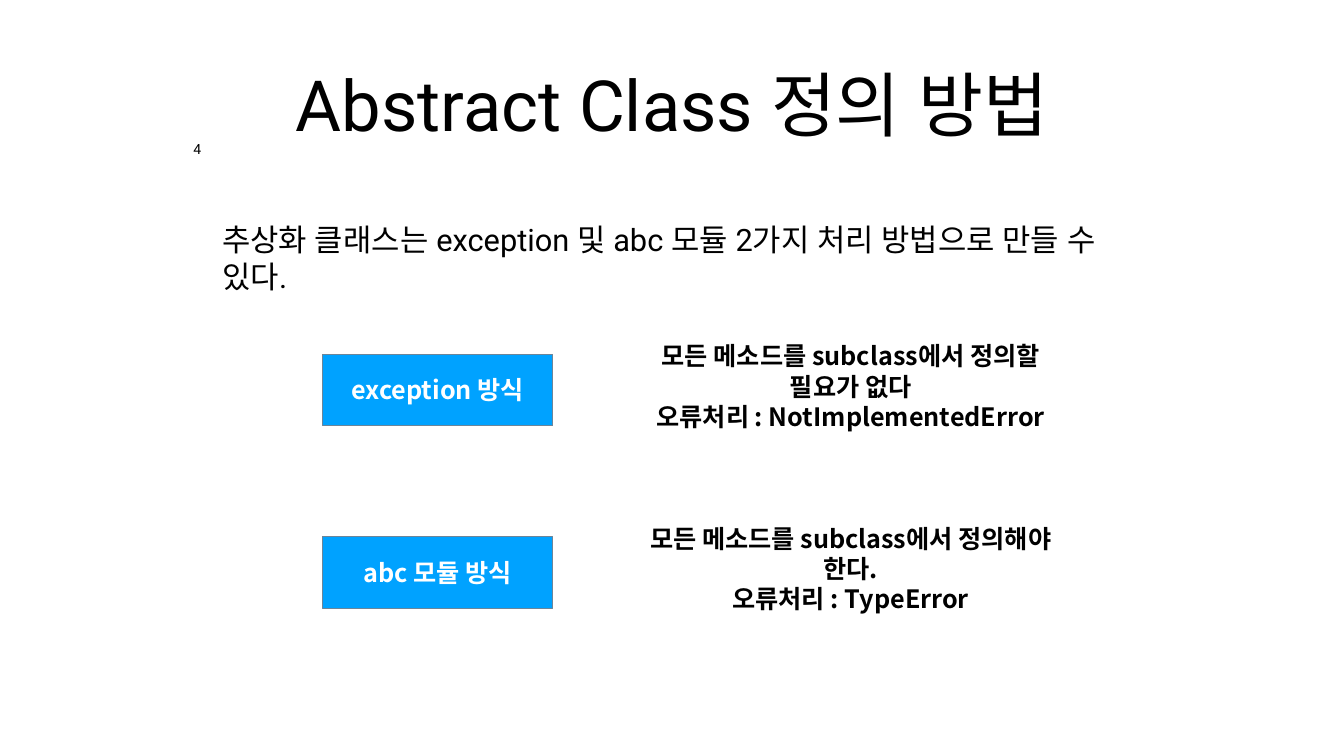
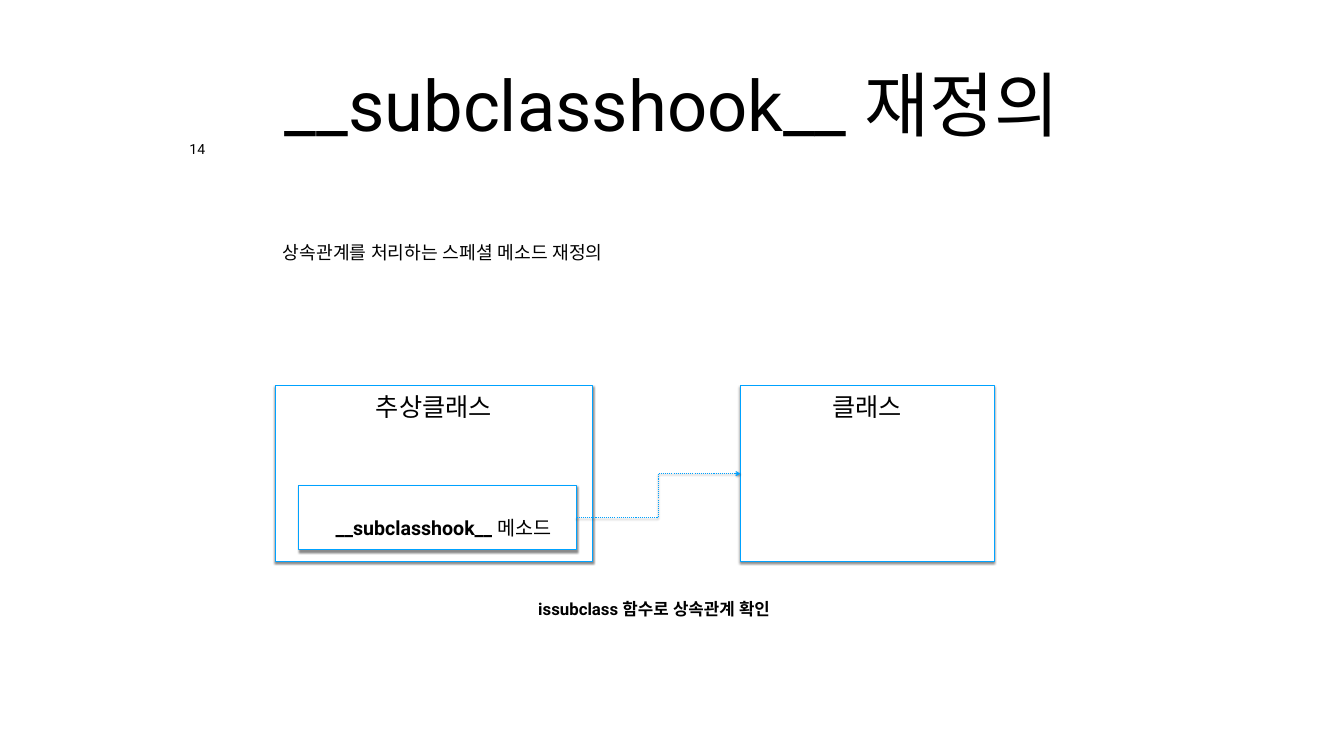
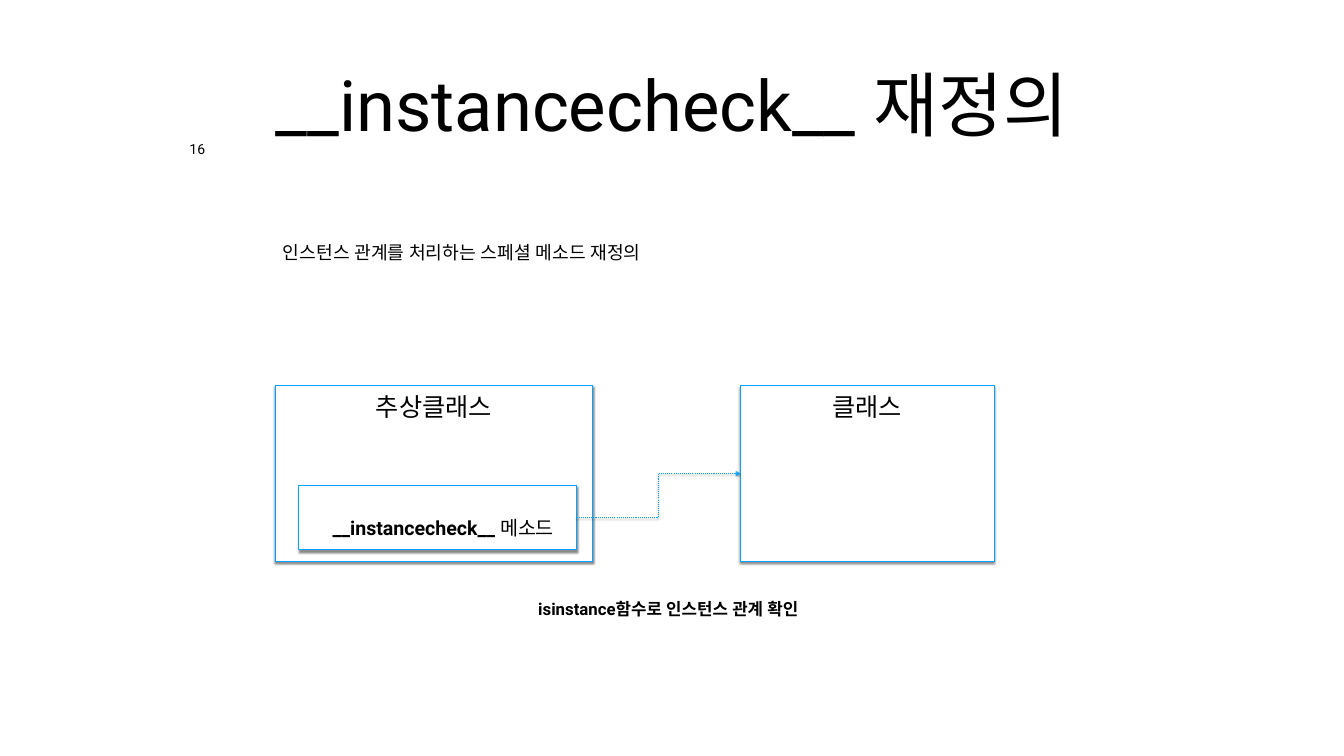
from dataclasses import dataclass

from lxml.etree import SubElement
from pptx import Presentation
from pptx.dml.color import RGBColor
from pptx.enum.dml import MSO_LINE
from pptx.enum.shapes import MSO_CONNECTOR, MSO_SHAPE
from pptx.enum.text import MSO_ANCHOR, MSO_AUTO_SIZE, PP_ALIGN
from pptx.oxml.ns import qn
from pptx.util import Inches, Pt

SLIDE_WIDTH, SLIDE_HEIGHT = Inches(26.67), Inches(15)
BLACK, WHITE, BLUE, SLATE = "000000", "FFFFFF", "00A2FF", "6C8599"
ROBOTO, NOTO = "Roboto", "Noto Sans CJK KR"
LINE_WIDTH = 1.5


@dataclass(frozen=True)
class Box:
    """Left, top, width and height in percent of the slide."""
    left: float
    top: float
    width: float
    height: float

    def down(self, distance: float) -> "Box":
        return Box(self.left, self.top + distance, self.width, self.height)

    def emu(self) -> tuple[int, int, int, int]:
        return (int(SLIDE_WIDTH * self.left / 100), int(SLIDE_HEIGHT * self.top / 100),
                int(SLIDE_WIDTH * self.width / 100), int(SLIDE_HEIGHT * self.height / 100))


@dataclass(frozen=True)
class Run:
    text: str
    size: float
    bold: bool = False
    font: str = ROBOTO
    color: str = BLACK


@dataclass(frozen=True)
class Layout:
    align: PP_ALIGN = PP_ALIGN.CENTER
    anchor: MSO_ANCHOR = MSO_ANCHOR.TOP
    insets: tuple[float, float, float, float] = (0.1, 0.1, 0.1, 0.1)
    wrap: bool = True
    grow: bool = False
    before: float = 0
    spacing: float = 1.0
    level: int = 0
    indent: float = 0


@dataclass(frozen=True)
class Method:
    name: str
    lines: tuple[str, str]


@dataclass(frozen=True)
class Hook:
    number: str
    name: str
    summary: str
    caption: str
    caption_width: float


TITLE_BOX = Box(18, 2.6, 64, 22.13)
INTRO_BOX = Box(16.24, 24.4, 67.49, 19.33)
SUMMARY_BOX = Box(16.35, 23, 67.49, 20.67)
METHOD_BOX = Box(24, 46.87, 17.14, 9.47)
LABEL_BOX = Box(24, 48.87, 17.14, 5.4)
DESCRIPTION_BOX = Box(46.46, 44.73, 33.67, 12.8)
METHOD_PITCH = 24.13
ABSTRACT_BOX = Box(20.47, 51.05, 23.62, 23.2)
HOOK_BOX = Box(22.24, 64.2, 20.66, 8.53)
CLASS_BOX = Box(55.08, 51.05, 18.9, 23.2)
NUMBER_CENTER = 14.68

PLACEHOLDER_INSETS = (0.08, 0.08, 0.08, 0.08)
TITLE_LAYOUT = Layout(anchor=MSO_ANCHOR.MIDDLE, insets=PLACEHOLDER_INSETS)
INTRO_LAYOUT = Layout(PP_ALIGN.LEFT, MSO_ANCHOR.MIDDLE, PLACEHOLDER_INSETS, before=59)
SUMMARY_LAYOUT = Layout(PP_ALIGN.LEFT, MSO_ANCHOR.MIDDLE, PLACEHOLDER_INSETS,
                        before=10, level=1, indent=1.17)
NUMBER_LAYOUT = Layout(insets=PLACEHOLDER_INSETS, wrap=False, grow=True, spacing=0.8)
LABEL_LAYOUT = Layout(anchor=MSO_ANCHOR.MIDDLE, grow=True)
DESCRIPTION_LAYOUT = Layout(insets=(0.1, 0.05, 0.1, 0.05), grow=True)
HOOK_LAYOUT = Layout(anchor=MSO_ANCHOR.BOTTOM, insets=(0.32, 0.1, 0.1, 0.21))
CAPTION_LAYOUT = Layout(PP_ALIGN.LEFT, insets=(0.18, 0.1, 0.1, 0.1), grow=True)

METHODS = (
    Method("exception 방식", ("모든 메소드를 subclass에서 정의할 필요가 없다",
                            "오류처리 : NotImplementedError")),
    Method("abc 모듈 방식", ("모든 메소드를 subclass에서 정의해야 한다.",
                          "오류처리 : TypeError")),
)
HOOKS = (
    Hook("14", "__subclasshook__", "상속관계를 처리하는 스페셜 메소드 재정의",
         "issubclass 함수로 상속관계 확인", 20.66),
    Hook("16", "__instancecheck__", "인스턴스 관계를 처리하는 스페셜 메소드 재정의",
         "isinstance함수로 인스턴스 관계 확인", 22.42),
)


def color(value: str) -> RGBColor:
    return RGBColor.from_string(value)


def place(shape, box: Box) -> None:
    shape.left, shape.top, shape.width, shape.height = box.emu()


def write(shape, paragraphs: list[list[Run]], layout: Layout) -> None:
    frame = shape.text_frame
    frame.word_wrap = layout.wrap
    frame.auto_size = MSO_AUTO_SIZE.SHAPE_TO_FIT_TEXT if layout.grow else MSO_AUTO_SIZE.NONE
    frame.vertical_anchor = layout.anchor
    (frame.margin_left, frame.margin_top,
     frame.margin_right, frame.margin_bottom) = map(Inches, layout.insets)
    for index, runs in enumerate(paragraphs):
        paragraph = frame.add_paragraph() if index else frame.paragraphs[0]
        paragraph.alignment = layout.align
        paragraph.level = layout.level
        paragraph.line_spacing = layout.spacing
        paragraph.space_before = Pt(layout.before)
        properties = paragraph._p.get_or_add_pPr()
        properties.set("marL", "0")
        properties.set("indent", str(Inches(layout.indent)))
        SubElement(properties, qn("a:buNone"))
        for item in runs:
            run = paragraph.add_run()
            run.text = item.text
            run.font.size = Pt(item.size)
            run.font.bold = item.bold
            run.font.name = item.font
            run.font.color.rgb = color(item.color)
            SubElement(run._r.get_or_add_rPr(), qn("a:ea"), typeface=item.font)


def add_text(shapes, box: Box, paragraphs: list[list[Run]], layout: Layout) -> None:
    write(shapes.add_textbox(*box.emu()), paragraphs, layout)


def add_shadow(shape) -> None:
    properties = shape._element.spPr
    effects = properties.find(qn("a:effectLst"))
    if effects is None:
        effects = SubElement(properties, qn("a:effectLst"))
    shadow = SubElement(effects, qn("a:outerShdw"), blurRad=str(Pt(3)),
                        dist=str(Pt(2.4)), dir="5400000", rotWithShape="0")
    black = SubElement(shadow, qn("a:srgbClr"), val=BLACK)
    SubElement(black, qn("a:alpha"), val="45000")


def add_rectangle(shapes, box: Box, fill: str, line: str):
    rectangle = shapes.add_shape(MSO_SHAPE.RECTANGLE, *box.emu())
    rectangle.fill.solid()
    rectangle.fill.fore_color.rgb = color(fill)
    rectangle.line.color.rgb = color(line)
    rectangle.line.width = Pt(LINE_WIDTH)
    rectangle.shadow.inherit = False
    return rectangle


def add_class_box(slide, box: Box, runs: list[Run], layout: Layout):
    rectangle = add_rectangle(slide.shapes, box, WHITE, BLUE)
    add_shadow(rectangle)
    write(rectangle, [runs], layout)
    return rectangle


def add_arrow(slide, start, end) -> None:
    arrow = slide.shapes.add_connector(MSO_CONNECTOR.ELBOW, 0, 0, 0, 0)
    arrow.begin_connect(start, 3)
    arrow.end_connect(end, 1)
    arrow.line.color.rgb = color(BLUE)
    arrow.line.width = Pt(LINE_WIDTH)
    arrow.line.dash_style = MSO_LINE.ROUND_DOT
    SubElement(arrow.line._get_or_add_ln(), qn("a:tailEnd"), type="arrow")
    add_shadow(arrow)


def add_slide(presentation, number: str, title: str, body: Run, box: Box, layout: Layout):
    slide = presentation.slides.add_slide(presentation.slide_layouts[1])
    place(slide.shapes.title, TITLE_BOX)
    write(slide.shapes.title, [[Run(title, 100.8)]], TITLE_LAYOUT)
    place(slide.placeholders[1], box)
    write(slide.placeholders[1], [[body]], layout)
    width = 0.6 + 0.7 * len(number)
    number_box = Box(NUMBER_CENTER - width / 2, 18.53, width, 2.87)
    add_text(slide.shapes, number_box, [[Run(number, 20)]], NUMBER_LAYOUT)
    return slide


def add_methods_slide(presentation) -> None:
    intro = Run("추상화 클래스는 exception 및 abc 모듈 2가지 처리 방법으로 만들 수 있다.", 44)
    slide = add_slide(presentation, "4", "Abstract Class 정의 방법",
                      intro, INTRO_BOX, INTRO_LAYOUT)
    for row, method in enumerate(METHODS):
        offset = row * METHOD_PITCH
        group = slide.shapes.add_group_shape()
        add_rectangle(group.shapes, METHOD_BOX.down(offset), BLUE, SLATE)
        add_text(group.shapes, LABEL_BOX.down(offset),
                 [[Run(method.name, 36, True, NOTO, WHITE)]], LABEL_LAYOUT)
        add_text(slide.shapes, DESCRIPTION_BOX.down(offset),
                 [[Run(line, 36, True, NOTO)] for line in method.lines], DESCRIPTION_LAYOUT)


def add_hook_slide(presentation, hook: Hook) -> None:
    slide = add_slide(presentation, hook.number, f"{hook.name} 재정의",
                      Run(hook.summary, 26), SUMMARY_BOX, SUMMARY_LAYOUT)
    add_class_box(slide, ABSTRACT_BOX, [Run("추상클래스", 36)], Layout())
    hook_box = add_class_box(slide, HOOK_BOX,
                             [Run(f"{hook.name} ", 28, True), Run("메소드", 28)], HOOK_LAYOUT)
    class_box = add_class_box(slide, CLASS_BOX, [Run("클래스", 36)], Layout())
    add_arrow(slide, hook_box, class_box)
    add_text(slide.shapes, Box(39.37, 78.47, hook.caption_width, 4.07),
             [[Run(hook.caption, 24, True)]], CAPTION_LAYOUT)


def main() -> None:
    presentation = Presentation()
    presentation.slide_width, presentation.slide_height = SLIDE_WIDTH, SLIDE_HEIGHT
    add_methods_slide(presentation)
    for hook in HOOKS:
        add_hook_slide(presentation, hook)
    presentation.save("out.pptx")


if __name__ == "__main__":
    main()
